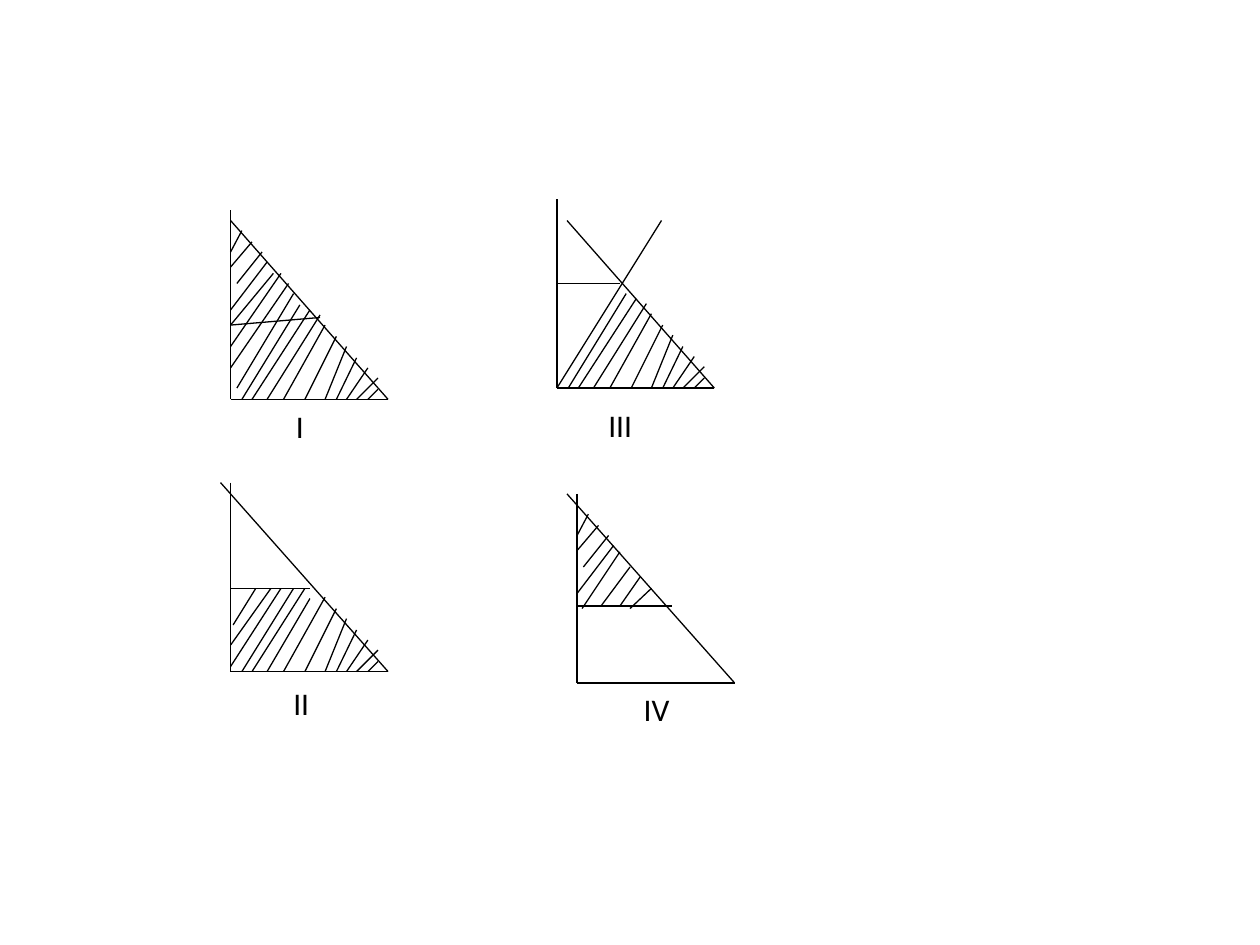
from dataclasses import dataclass

from lxml.etree import SubElement
from pptx import Presentation
from pptx.dml.color import RGBColor
from pptx.enum.shapes import MSO_CONNECTOR as Link
from pptx.enum.text import MSO_AUTO_SIZE as Fit
from pptx.oxml.ns import qn
from pptx.slide import Slide
from pptx.util import Inches, Pt

BLACK = RGBColor(0, 0, 0)
WIDE, HIGH = 1.25, 1.5

Seg = tuple[float, float, float, float]

AXES: tuple[Seg, ...] = ((0, 0, 0, HIGH), (0, HIGH, WIDE, HIGH))
TIP: tuple[Seg, ...] = (
    (0.09, 0.16, 0, 0.33), (0.17, 0.25, 0, 0.45),
    (0.25, 0.33, 0.05, 0.58), (0.29, 0.41, 0, 0.79),
)
FAN: tuple[Seg, ...] = tuple((x, y, foot, HIGH) for x, y, foot in (
    (0.55, 0.75, 0.09), (0.63, 0.79, 0.17), (0.71, 0.83, 0.29),
    (0.75, 0.91, 0.42), (0.84, 1, 0.59), (0.92, 1.08, 0.75),
    (1, 1.17, 0.84), (1.09, 1.25, 0.92), (1.17, 1.33, 1),
    (1.17, 1.42, 1.09),
))


@dataclass(frozen=True)
class Label:
    text: str
    left: float
    top: float
    width: float


@dataclass(frozen=True)
class Graph:
    left: float
    top: float
    label: Label
    slope: tuple[float, float]
    bounds: tuple[Seg, ...]
    hatch: tuple[Seg, ...]


GRAPHS = (
    Graph(1.83, 1.67, Label("I", 0.42, 1.51, 0.27), (0, 0.08),
          ((0, 0.91, 0.71, 0.85),),
          TIP + FAN + ((0.34, 0.5, 0, 0.91), (0.4, 0.5, 0, 1.08),
                       (0.46, 0.58, 0, 1.25), (0.5, 0.66, 0.05, 1.41))),
    Graph(4.42, 1.58, Label("III", 0.31, 1.59, 0.39), (0.08, 0.17),
          ((0.83, 0.17, 0, HIGH), (0, 0.67, 0.5, 0.67)), FAN),
    Graph(1.83, 3.83, Label("II", 0.4, 1.55, 0.33), (-0.08, 0),
          ((0, 0.84, 0.63, 0.84),),
          FAN[3:] + ((0.2, 0.84, 0.02, 1.13), (0.32, 0.84, 0, 1.29),
                     (0.4, 0.84, 0, 1.46), (0.5, 0.84, 0.09, HIGH),
                     (0.59, 0.84, 0.17, HIGH), (0.63, 0.92, 0.29, HIGH))),
    Graph(4.58, 3.92, Label("IV", 0.43, 1.51, 0.41), (-0.08, 0),
          ((0, 0.89, 0.75, 0.89),),
          TIP + ((0.34, 0.46, 0.04, 0.91), (0.42, 0.58, 0.19, 0.89),
                 (0.5, 0.66, 0.34, 0.89), (0.59, 0.75, 0.42, 0.91))),
)


def draw_line(slide: Slide, left: float, top: float, seg: Seg) -> None:
    x1, y1, x2, y2 = seg
    line = slide.shapes.add_connector(
        Link.STRAIGHT, Inches(left + x1), Inches(top + y1),
        Inches(left + x2), Inches(top + y2))
    line.line.color.rgb = BLACK
    line.line.width = Pt(0.75)
    SubElement(line._element.spPr, qn("a:effectLst"))


def draw_text(slide: Slide, text: str, *, left: float, top: float,
              width: float, height: float = 0.4, size: float = 18,
              font: str = "Calibri", color: RGBColor = BLACK) -> None:
    box = slide.shapes.add_textbox(
        Inches(left), Inches(top), Inches(width), Inches(height))
    frame = box.text_frame
    frame.word_wrap = False
    frame.auto_size = Fit.SHAPE_TO_FIT_TEXT
    run = frame.paragraphs[0].add_run()
    run.text = text
    run.font.size = Pt(size)
    run.font.name = font
    run.font.color.rgb = color


def draw_graph(slide: Slide, graph: Graph) -> None:
    slope = (*graph.slope, WIDE, HIGH)
    for seg in (*AXES, slope, *graph.bounds, *graph.hatch):
        draw_line(slide, graph.left, graph.top, seg)
    label = graph.label
    draw_text(slide, label.text, left=graph.left + label.left,
              top=graph.top + label.top, width=label.width)


def main() -> None:
    """Build a slide of four hatched triangle graphs."""
    deck = Presentation()
    deck.slide_width, deck.slide_height = Inches(10), Inches(7.5)
    slide = deck.slides.add_slide(deck.slide_layouts[6])
    for graph in GRAPHS:
        draw_graph(slide, graph)
    deck.save("out.pptx")


if __name__ == "__main__":
    main()
